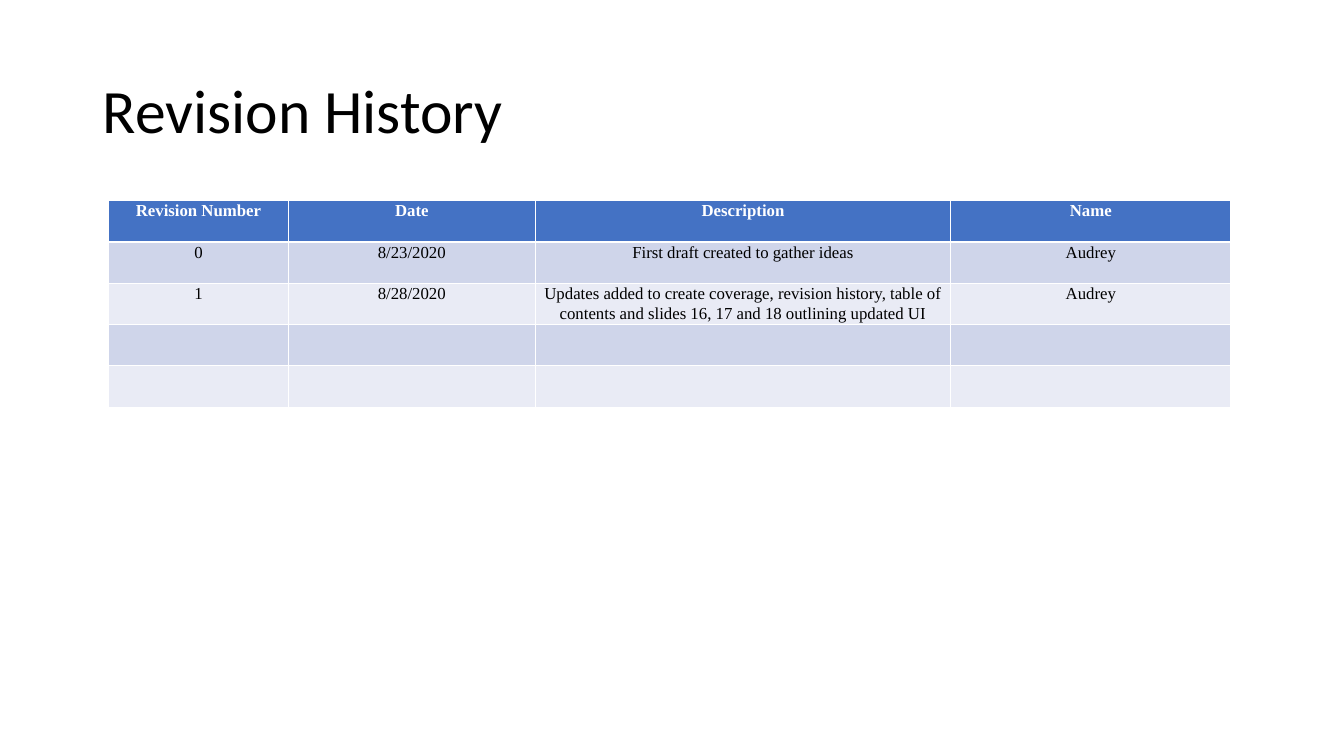
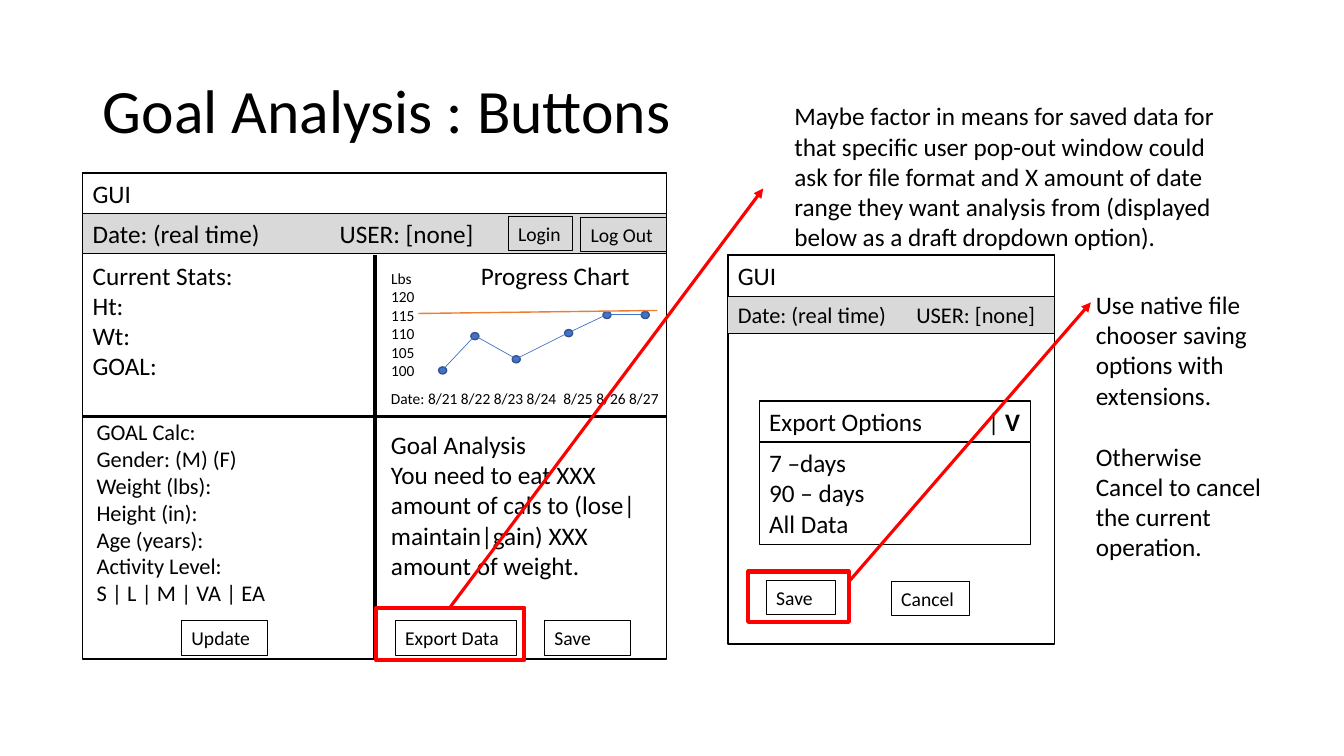
"""Build a revision history slide and a goal analysis wireframe slide."""
from itertools import pairwise

from lxml import etree
from pptx import Presentation
from pptx import util as u
from pptx.dml.color import RGBColor
from pptx.enum import shapes, text
from pptx.oxml.ns import qn

PX = u.Inches(1) // 100
COLORS = {
    "ink": "000000", "paper": "FFFFFF", "bar": "D9D9D9", "alert": "FF0000",
    "blue": "4472C4", "navy": "325491", "orange": "ED7D31",
    "band": "CFD5EA", "pale": "E9EBF5",
}

TITLE_AREA = (92, 40, 1150, 145)
TITLE_FRAME = {"vertical_anchor": text.MSO_ANCHOR.MIDDLE, "auto_size": text.MSO_AUTO_SIZE.NONE,
               "word_wrap": True}
TITLE_PARA = {"alignment": text.PP_ALIGN.LEFT, "line_spacing": 0.9}
BOX_FRAME = {"vertical_anchor": text.MSO_ANCHOR.TOP, "word_wrap": True}
BOX_PARA = {"alignment": text.PP_ALIGN.LEFT}
CELL_PARA = {"alignment": text.PP_ALIGN.CENTER, "line_spacing": 1.07}
CELL_MARGINS = {"margin_left": 7 * PX, "margin_right": 7 * PX, "margin_top": 0, "margin_bottom": 0}

REVISIONS = [
    ("Revision Number", "Date", "Description", "Name"),
    ("0", "8/23/2020", "First draft created to gather ideas", "Audrey"),
    ("1", "8/28/2020", "Updates added to create coverage, revision history, table of contents "
     "and slides 16, 17 and 18 outlining updated UI", "Audrey"),
    ("",) * 4,
    ("",) * 4,
]
TABLE_ORIGIN = (108, 199)
COLUMN_WIDTHS = (178, 245, 412, 278)
ROW_HEIGHT = 41

WINDOWS = [(82, 171, 579, 483), (722, 253, 324, 386)]
PANELS = [
    ((82, 172, 579, 40), ["GUI"], {}),
    ((82, 212, 579, 40), ["Date: (real time)\tUSER: [none]"], {"fill": "bar", "tab": 245}),
    ((722, 253, 324, 41), ["GUI"], {}),
    ((722, 294, 324, 37), ["Date: (real time)\tUSER: [none]"],
     {"fill": "bar", "tab": 177, "size": 16}),
    ((753, 398, 269, 40), ["Export Options\t| *V*"], {"tab": 217, "weight": 1}),
    ((753, 439, 269, 101), ["7 –days", "90 – days", "All Data"], {"weight": 1}),
]
NOTES = [
    ((82, 253, 579, 40), ["Current Stats:\tProgress Chart"], {"tab": 385}),
    ((82, 283, 272, 101), ["Ht:", "Wt:", "GOAL:"], {}),
    ((86, 410, 272, 229), ["GOAL Calc:", "Gender: (M) (F)", "Weight (lbs):", "Height (in):",
                           "Age (years):", "Activity Level:", "S | L | M | VA | EA"], {"size": 16}),
    ((378, 421, 284, 162), ["Goal Analysis", "You need to eat XXX amount of cals to "
                            "(lose|maintain|gain) XXX amount of weight."], {}),
    ((378, 262, 48, 121), ["Lbs", "120", "115", "110", "105", "100"], {"size": 11}),
    ((378, 381, 324, 29), ["Date: 8/21 8/22 8/23 8/24\t8/25 8/26 8/27"],
     {"size": 11, "tab": 171}),
    ((778, 95, 465, 222), ["Maybe factor in means for saved data for that specific user pop-out "
                           "window could ask for file format and X amount of date range they want "
                           "analysis from (displayed below as a draft dropdown option)."], {}),
    ((1077, 282, 184, 374), ["Use native file chooser saving options with extensions.",
                             "Otherwise Cancel to cancel the current operation."], {"gap": 22}),
]
BUTTON_HEIGHT = 34
BUTTONS = [
    ("Update", 180, 616, 85), ("Save", 540, 616, 85), ("Export Data", 392, 616, 120),
    ("Login", 504, 215, 64), ("Log Out", 576, 216, 85),
    ("Save", 760, 576, 69), ("Cancel", 884, 577, 78),
]
DIVIDERS = [((372, 253), (372, 655)), ((82, 413), (662, 413))]
GOAL_LINE = ((415, 311), (652, 308))
WEIGHT_POINTS = [(439, 367), (471, 333), (512, 356), (564, 330), (602, 312), (640, 312)]
DOT = (8, 7)
HIGHLIGHTS = [(373, 603, 147, 52), (742, 567, 100, 50)]
ARROWS = [((446, 603), (757, 187)), ((842, 577), (1082, 300))]


def color(name):
    return RGBColor.from_string(COLORS[name])


def scale(lengths):
    return [length * PX for length in lengths]


def apply(target, values):
    for name, value in values.items():
        setattr(target, name, value)


def write(para, line, values, size, ink="ink", face="Calibri", bold=False):
    apply(para, values)
    for index, part in enumerate(line.split("*")):
        if part:
            span = para.add_run()
            span.text = part
            apply(span.font, {"size": u.Pt(size), "name": face, "bold": bold or index % 2 == 1})
            span.font.color.rgb = color(ink)


def fill_text(box, lines, size=18, tab=None, gap=0):
    frame = box.text_frame
    apply(frame, BOX_FRAME)
    for index, line in enumerate(lines):
        para = frame.add_paragraph() if index else frame.paragraphs[0]
        write(para, line, BOX_PARA | {"space_before": u.Pt(gap if index else 0)}, size)
        if tab:
            stops = etree.SubElement(para._p.get_or_add_pPr(), qn("a:tabLst"))
            etree.SubElement(stops, qn("a:tab"), pos=str(tab * PX), algn="l")


def add_outline(page, area, fill=None, line="ink", weight=0.75, kind="RECTANGLE"):
    box = page.shapes.add_shape(shapes.MSO_SHAPE[kind], *scale(area))
    box.shadow.inherit = False
    if fill:
        box.fill.solid()
        box.fill.fore_color.rgb = color(fill)
    else:
        box.fill.background()
    box.line.color.rgb = color(line)
    box.line.width = u.Pt(weight)
    return box


def add_line(page, start, end, line, weight, arrow=False):
    link = page.shapes.add_connector(shapes.MSO_CONNECTOR.STRAIGHT, *scale(start + end))
    link.line.color.rgb = color(line)
    link.line.width = u.Pt(weight)
    props = link.element.spPr
    if arrow:
        etree.SubElement(props.find(qn("a:ln")), qn("a:tailEnd"), type="triangle")
    etree.SubElement(props, qn("a:effectLst"))


def add_page(deck, title):
    page = deck.slides.add_slide(deck.slide_layouts[5])
    box = page.shapes.title
    apply(box, dict(zip(("left", "top", "width", "height"), scale(TITLE_AREA))))
    apply(box.text_frame, TITLE_FRAME)
    write(box.text_frame.paragraphs[0], title, TITLE_PARA, 44)
    return page


def add_revisions(page):
    size = (sum(COLUMN_WIDTHS), ROW_HEIGHT * len(REVISIONS))
    table = page.shapes.add_table(len(REVISIONS), len(COLUMN_WIDTHS),
                                  *scale(TABLE_ORIGIN + size)).table
    for column, width in zip(table.columns, COLUMN_WIDTHS):
        column.width = width * PX
    for number, (row, values) in enumerate(zip(table.rows, REVISIONS)):
        header = number == 0
        fill = "blue" if header else ("pale", "band")[number % 2]
        for cell, value in zip(row.cells, values):
            apply(cell, CELL_MARGINS)
            cell.fill.solid()
            cell.fill.fore_color.rgb = color(fill)
            write(cell.text_frame.paragraphs[0], value, CELL_PARA, 12,
                  "paper" if header else "ink", "Times New Roman", header)


def add_wireframe(page):
    for area in WINDOWS:
        add_outline(page, area, "paper", weight=1)
    for area, lines, style in PANELS:
        look = {key: style[key] for key in ("fill", "weight") if key in style}
        words = {key: style[key] for key in ("size", "tab") if key in style}
        fill_text(add_outline(page, area, **look), lines, **words)
    for area, lines, style in NOTES:
        fill_text(page.shapes.add_textbox(*scale(area)), lines, **style)
    for label, left, top, width in BUTTONS:
        fill_text(add_outline(page, (left, top, width, BUTTON_HEIGHT)), [label], size=14)
    for start, end in DIVIDERS:
        add_line(page, start, end, "ink", 2.25)


def add_progress(page):
    width, height = DOT
    for x, y in WEIGHT_POINTS:
        add_outline(page, (x - width // 2, y - height // 2, width, height),
                    "blue", "navy", 1, "OVAL")
    for start, end in pairwise(WEIGHT_POINTS):
        add_line(page, start, end, "blue", 0.5)
    add_line(page, *GOAL_LINE, "orange", 1)


def add_callouts(page):
    for area in HIGHLIGHTS:
        add_outline(page, area, line="alert", weight=3)
    for start, end in ARROWS:
        add_line(page, start, end, "alert", 2.25, arrow=True)


def main():
    deck = Presentation()
    deck.slide_width, deck.slide_height = scale((1333, 750))
    add_revisions(add_page(deck, "Revision History"))
    page = add_page(deck, "Goal Analysis : Buttons")
    add_wireframe(page)
    add_progress(page)
    add_callouts(page)
    deck.save("out.pptx")


if __name__ == "__main__":
    main()
